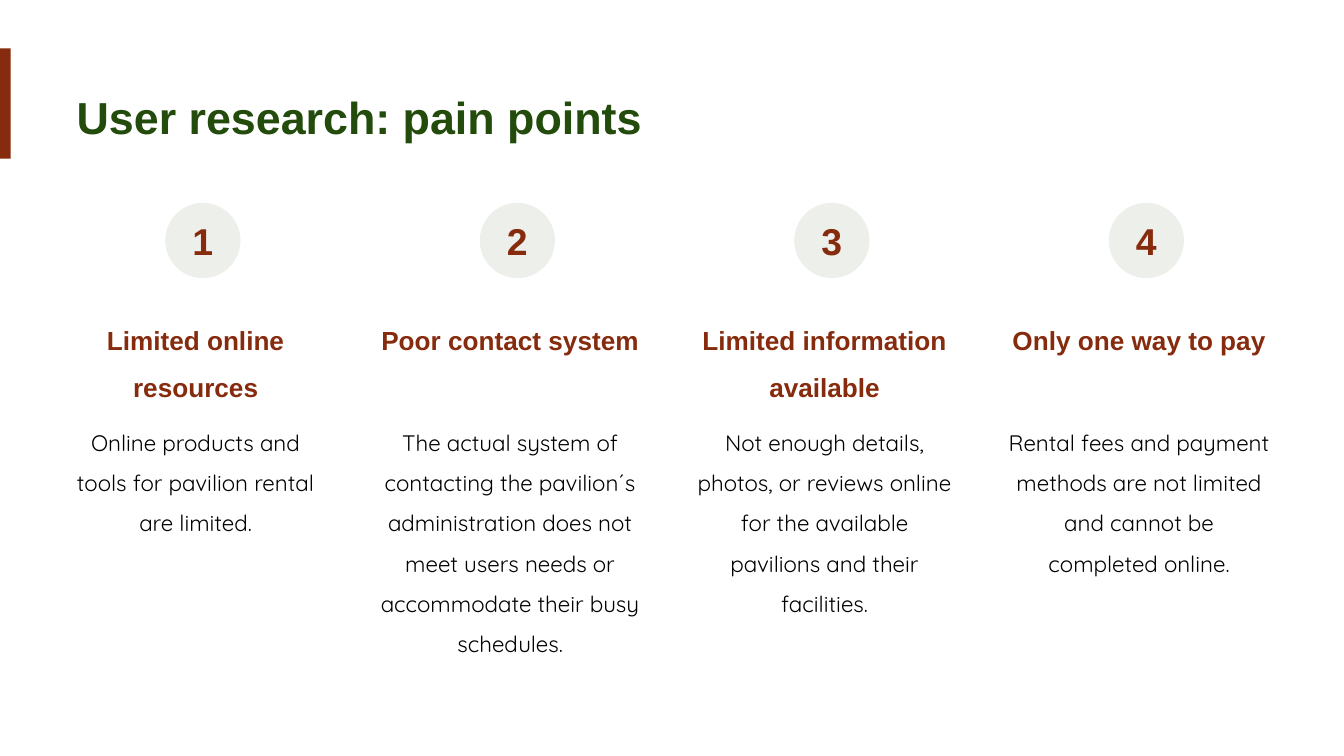
"""Build the slide listing four pain points from user research."""
import pptx
import pptx.dml.color
import pptx.enum.shapes
import pptx.enum.text
import pptx.util

PX = 9144
RUST = pptx.dml.color.RGBColor(0x86, 0x2B, 0x0D)
GREEN = pptx.dml.color.RGBColor(0x22, 0x4B, 0x0C)
MIST = pptx.dml.color.RGBColor(0xED, 0xEF, 0xEB)
BLACK = pptx.dml.color.RGBColor(0, 0, 0)
SHAPES = pptx.enum.shapes.MSO_SHAPE
CENTER = pptx.enum.text.PP_ALIGN.CENTER
LEFT = pptx.enum.text.PP_ALIGN.LEFT

FIRST_LEFT, PITCH, COLUMN_WIDTH, CIRCLE = 48, 234, 205, 56
PAIN_POINTS = [
    ("Limited online resources", 79,
     "Online products and tools for pavilion rental are limited.", 101),
    ("Poor contact system", 44,
     "The actual system of contacting the pavilion´s administration does not "
     "meet users needs or accommodate their busy schedules.", 192),
    ("Limited information available", 79,
     "Not enough details, photos, or reviews online for the available "
     "pavilions and their facilities.", 162),
    ("Only one way to pay", 44,
     "Rental fees and payment methods are not limited and cannot be "
     "completed online.", 131),
]

deck = pptx.Presentation()
deck.slide_width = pptx.util.Inches(10)
deck.slide_height = pptx.util.Inches(5.625)
slide = deck.slides.add_slide(deck.slide_layouts[6])


def add_filled(kind, left, top, width, height, color):
    shape = slide.shapes.add_shape(kind, left * PX, top * PX, width * PX, height * PX)
    shape.shadow.inherit = False
    shape.fill.solid()
    shape.fill.fore_color.rgb = color
    shape.line.fill.background()
    return shape


def add_text(box, text, size, color, font="Arial", bold=True, align=CENTER, spacing=1.5):
    left, top, width, height = box
    frame = slide.shapes.add_textbox(left * PX, top * PX, width * PX, height * PX).text_frame
    frame.word_wrap = True
    frame.auto_size = pptx.enum.text.MSO_AUTO_SIZE.SHAPE_TO_FIT_TEXT
    frame.margin_left = 0
    frame.margin_top = frame.margin_right = frame.margin_bottom = 10 * PX
    frame.text = text
    paragraph = frame.paragraphs[0]
    paragraph.alignment = align
    paragraph.line_spacing = spacing
    run_font = paragraph.runs[0].font
    run_font.name = font
    run_font.size = pptx.util.Pt(size)
    run_font.bold = bold
    run_font.color.rgb = color


add_filled(SHAPES.RECTANGLE, 0, 36, 8, 82, RUST)
add_text((57, 57, 673, 61), "User research: pain points", 24, GREEN, align=LEFT, spacing=1.0)

for index, (heading, heading_height, detail, detail_height) in enumerate(PAIN_POINTS):
    left = FIRST_LEFT + index * PITCH
    add_text((left, 220, COLUMN_WIDTH, heading_height), heading, 14, RUST)
    add_text((left, 299, COLUMN_WIDTH, detail_height), detail, 12, BLACK, "Quicksand", False)

    badge = add_filled(SHAPES.OVAL, left + 75, 151, CIRCLE, CIRCLE, MIST)
    number = badge.text_frame
    number.margin_left = number.margin_top = number.margin_right = number.margin_bottom = 0
    number.vertical_anchor = pptx.enum.text.MSO_ANCHOR.MIDDLE
    number.text = str(index + 1)
    number.paragraphs[0].alignment = CENTER
    number_font = number.paragraphs[0].runs[0].font
    number_font.name = "Arial"
    number_font.size = pptx.util.Pt(20)
    number_font.bold = True
    number_font.color.rgb = RUST

deck.save("out.pptx")
